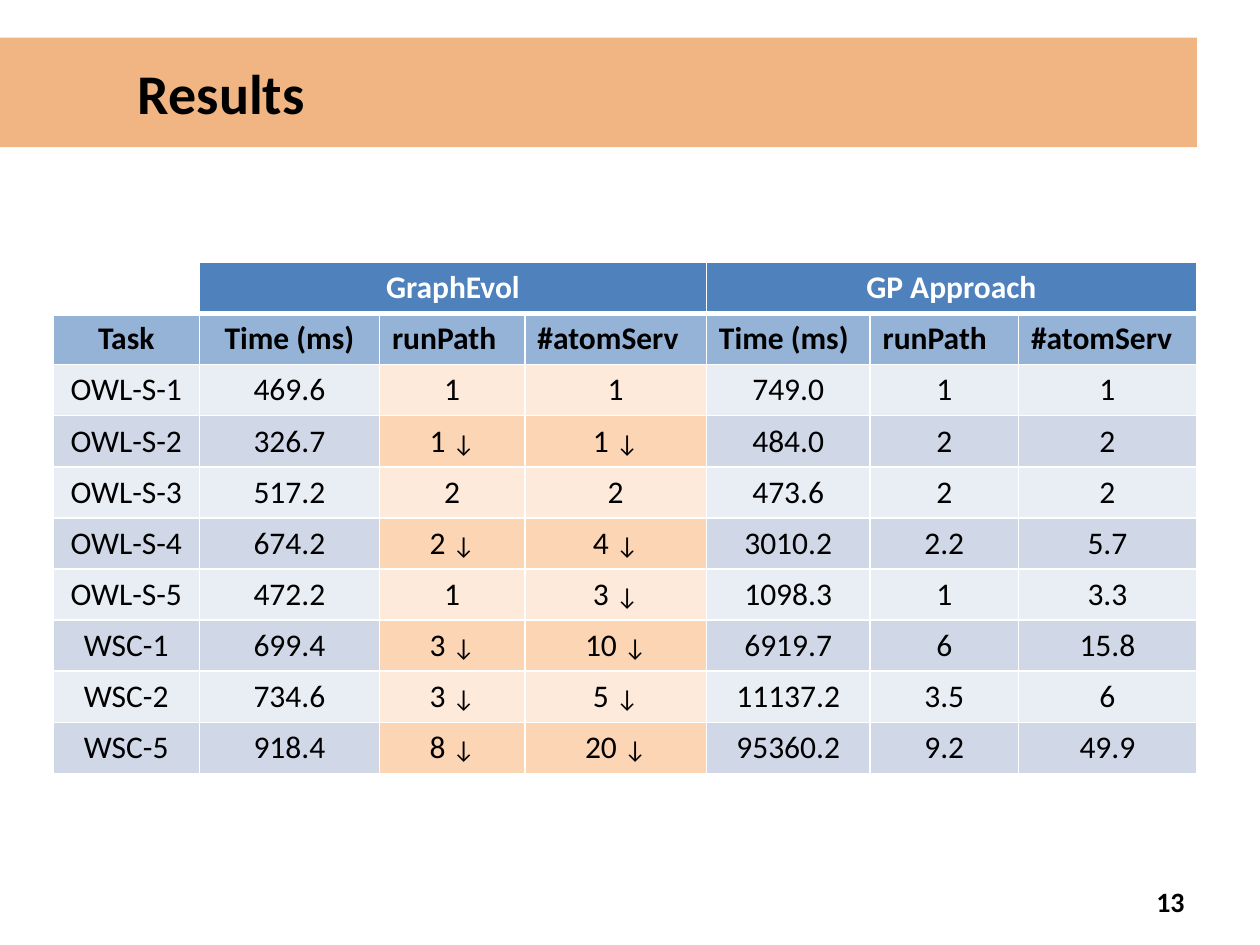
from dataclasses import dataclass
from typing import NamedTuple

import pptx
import pptx.dml.color
import pptx.enum.shapes
import pptx.enum.text
import pptx.oxml
import pptx.oxml.ns
import pptx.util

Cm = pptx.util.Cm
Pt = pptx.util.Pt
Align = pptx.enum.text.PP_ALIGN
Anchor = pptx.enum.text.MSO_ANCHOR


@dataclass(frozen=True)
class Theme:
    font: str = "Calibri"
    ink: str = "000000"
    white: str = "FFFFFF"
    banner: str = "E46C0A"
    banner_opacity: int = 50
    group: str = "4F81BD"
    heading: str = "95B3D7"
    plain_bands: tuple[str, str] = ("E9EDF4", "D0D8E8")
    highlight_bands: tuple[str, str] = ("FDEADA", "FCD5B5")
    title_size: int = 32
    table_size: int = 18
    arrow_size: int = 14
    number_size: int = 16
    rule: int = 1
    group_rule: int = 3


class Column(NamedTuple):
    heading: str
    width: float
    heading_align: Align = Align.LEFT
    highlighted: bool = False


class Group(NamedTuple):
    name: str
    first: int
    last: int


THEME = Theme()
ARROW = "↓"

COLUMNS = [
    Column("Task", 2.95, Align.CENTER),
    Column("Time (ms)", 3.63, Align.CENTER),
    Column("runPath", 2.93, highlighted=True),
    Column("#atomServ", 3.66, highlighted=True),
    Column("Time (ms)", 3.3),
    Column("runPath", 2.99),
    Column("#atomServ", 3.59),
]
GROUPS = [Group("GraphEvol", 1, 3), Group("GP Approach", 4, 6)]
RESULTS = [
    ("OWL-S-1", "469.6", "1", "1", "749.0", "1", "1"),
    ("OWL-S-2", "326.7", "1 ↓", "1 ↓", "484.0", "2", "2"),
    ("OWL-S-3", "517.2", "2", "2", "473.6", "2", "2"),
    ("OWL-S-4", "674.2", "2 ↓", "4 ↓", "3010.2", "2.2", "5.7"),
    ("OWL-S-5", "472.2", "1", "3 ↓", "1098.3", "1", "3.3"),
    ("WSC-1", "699.4", "3 ↓", "10 ↓", "6919.7", "6", "15.8"),
    ("WSC-2", "734.6", "3 ↓", "5 ↓", "11137.2", "3.5", "6"),
    ("WSC-5", "918.4", "8 ↓", "20 ↓", "95360.2", "9.2", "49.9"),
]
ROW_HEIGHT = 1.03


def apply(target, values: dict) -> None:
    for attribute, value in values.items():
        setattr(target, attribute, value)


def rgb(code: str) -> pptx.dml.color.RGBColor:
    return pptx.dml.color.RGBColor.from_string(code)


def write(frame, text: str, size: int, color: str = THEME.ink,
          bold: bool = True, align: Align = Align.LEFT) -> None:
    """Write one paragraph, with any trailing arrow in its smaller size."""
    paragraph = frame.paragraphs[0]
    paragraph.alignment = align
    value, arrow, _ = text.partition(ARROW)
    for part, part_size in ((value, size), (arrow, THEME.arrow_size)):
        if part:
            run = paragraph.add_run()
            run.text = part
            apply(run.font, {"name": THEME.font, "size": Pt(part_size), "bold": bold})
            run.font.color.rgb = rgb(color)


def rule_cell(cell, bottom: int) -> None:
    """Draw white rules on all four sides of a cell."""
    properties = cell._tc.get_or_add_tcPr()
    sides = {"lnL": THEME.rule, "lnR": THEME.rule, "lnT": THEME.rule, "lnB": bottom}
    for side, width in sides.items():
        properties.append(pptx.oxml.parse_xml(
            f'<a:{side} {pptx.oxml.ns.nsdecls("a")} w="{Pt(width)}"><a:solidFill>'
            f'<a:srgbClr val="{THEME.white}"/></a:solidFill></a:{side}>'))


def style_cell(cell, fill: str | None, bottom: int = THEME.rule) -> None:
    rule_cell(cell, bottom)
    if fill is None:
        cell.fill.background()
    else:
        cell.fill.solid()
        cell.fill.fore_color.rgb = rgb(fill)


def draw_banner(slide, title: str) -> None:
    banner = slide.shapes.add_shape(pptx.enum.shapes.MSO_SHAPE.RECTANGLE,
                                    Cm(0), Cm(0.76), Cm(24.13), Cm(2.21))
    banner.shadow.inherit = False
    banner.line.fill.background()
    banner.fill.solid()
    banner.fill.fore_color.rgb = rgb(THEME.banner)
    # Opacity of the banner colour
    color = banner._element.spPr.find(".//" + pptx.oxml.ns.qn("a:srgbClr"))
    color.append(pptx.oxml.parse_xml(
        f'<a:alpha {pptx.oxml.ns.nsdecls("a")} val="{THEME.banner_opacity * 1000}"/>'))
    apply(banner.text_frame, {"margin_left": Cm(2.78), "word_wrap": True,
                              "vertical_anchor": Anchor.MIDDLE})
    write(banner.text_frame, title, THEME.title_size)


def draw_results(slide) -> None:
    row_count = len(RESULTS) + 2
    table = slide.shapes.add_table(
        row_count, len(COLUMNS), Cm(1.07), Cm(5.29),
        Cm(sum(column.width for column in COLUMNS)), Cm(ROW_HEIGHT * row_count)).table
    apply(table, {"first_row": False, "horz_banding": False})
    for row in table.rows:
        row.height = Cm(ROW_HEIGHT)

    # Group headings
    style_cell(table.cell(0, 0), None, THEME.group_rule)
    for group in GROUPS:
        for index in range(group.first, group.last + 1):
            style_cell(table.cell(0, index), THEME.group, THEME.group_rule)
        heading = table.cell(0, group.first)
        heading.merge(table.cell(0, group.last))
        write(heading.text_frame, group.name, THEME.table_size, THEME.white,
              align=Align.CENTER)

    # Column headings and results
    for index, column in enumerate(COLUMNS):
        table.columns[index].width = Cm(column.width)
        heading = table.cell(1, index)
        style_cell(heading, THEME.heading)
        write(heading.text_frame, column.heading, THEME.table_size,
              align=column.heading_align)
        bands = THEME.highlight_bands if column.highlighted else THEME.plain_bands
        for number, result in enumerate(RESULTS):
            cell = table.cell(number + 2, index)
            style_cell(cell, bands[number % 2])
            write(cell.text_frame, result[index], THEME.table_size, bold=False,
                  align=Align.CENTER)


def draw_page_number(slide, number: str) -> None:
    box = slide.shapes.add_textbox(Cm(18.21), Cm(17.65), Cm(5.92), Cm(1.02))
    apply(box.text_frame, {"word_wrap": True, "vertical_anchor": Anchor.MIDDLE})
    write(box.text_frame, number, THEME.number_size, align=Align.RIGHT)


def main() -> None:
    deck = pptx.Presentation()
    apply(deck, {"slide_width": Cm(25.4), "slide_height": Cm(19.05)})
    slide = deck.slides.add_slide(deck.slide_layouts[6])
    draw_banner(slide, "Results")
    draw_page_number(slide, "13")
    draw_results(slide)
    deck.save("out.pptx")


if __name__ == "__main__":
    main()
